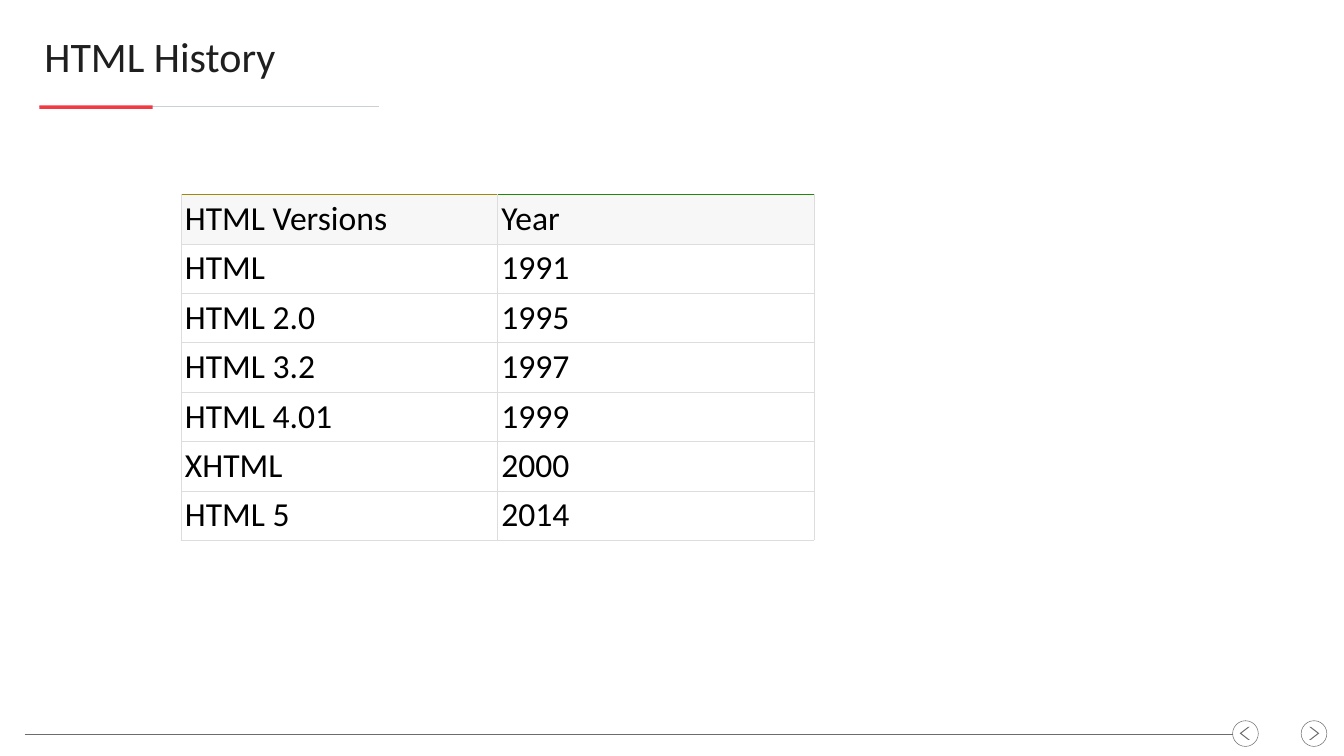
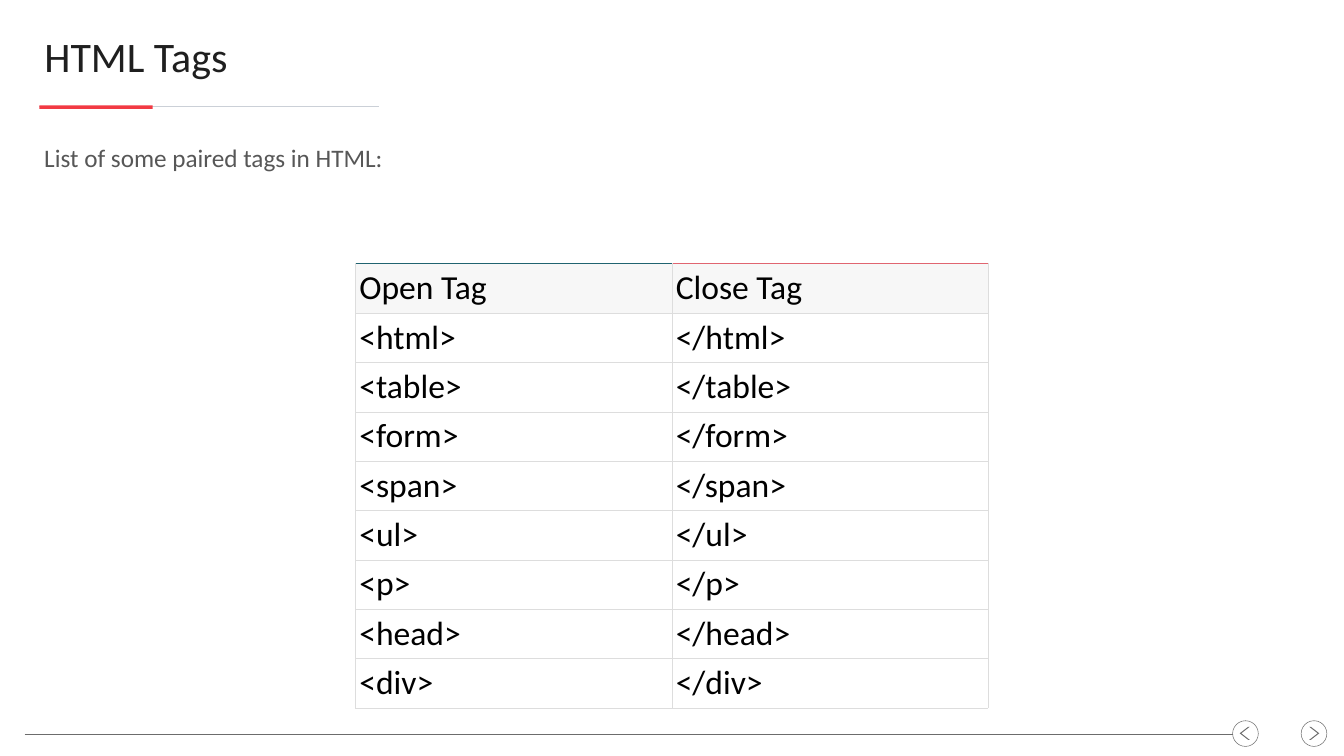
from lxml import etree
from pptx import Presentation
from pptx.dml.color import RGBColor
from pptx.enum.shapes import MSO_CONNECTOR, MSO_SHAPE
from pptx.enum.text import MSO_ANCHOR, PP_ALIGN
from pptx.oxml import parse_xml
from pptx.oxml.ns import nsdecls, qn
from pptx.util import Pt

STRAIGHT = MSO_CONNECTOR.STRAIGHT
RECTANGLE, OVAL, CHEVRON = MSO_SHAPE.RECTANGLE, MSO_SHAPE.OVAL, MSO_SHAPE.CHEVRON
TOP, MIDDLE, BOTTOM = MSO_ANCHOR.TOP, MSO_ANCHOR.MIDDLE, MSO_ANCHOR.BOTTOM
LEFT = PP_ALIGN.LEFT
TITLE_ONLY = 5

PX = 9144  # 100 px to the inch
FONT = "Calibri"
COLORS = {
    "title": "1F1F1F", "body": "575757", "cell": "000000",
    "accent": "F23A43", "rule": "CBD0D7", "footer": "6C6C6C",
    "border": "DDDDDD", "header": "F7F7F7", "white": "FFFFFF",
    "gold": "A0880A", "green": "20890A", "teal": "206370", "rose": "E06570",
}
COLUMN_WIDTH, ROW_HEIGHT, CELL_MARGIN = 628, 98, 8

SLIDES = [
    {
        "title": "HTML History",
        "intro": None,
        "table_at": (359, 386),
        "header_lines": ("gold", "green"),
        "row_fill": "white",
        "rows": [
            ("HTML Versions", "Year"),
            ("HTML", "1991"),
            ("HTML 2.0", "1995"),
            ("HTML 3.2", "1997"),
            ("HTML 4.01", "1999"),
            ("XHTML", "2000"),
            ("HTML 5", "2014"),
        ],
    },
    {
        "title": "HTML Tags",
        "intro": "List of some paired tags in HTML:",
        "table_at": (705, 523),
        "header_lines": ("teal", "rose"),
        "row_fill": None,
        "rows": [("Open Tag", "Close Tag")] + [
            (f"<{tag}>", f"</{tag}>")
            for tag in ("html", "table", "form", "span", "ul", "p", "head", "div")
        ],
    },
]


def write_text(frame, text, size, color, anchor=TOP, margins=(10, 5), line_spacing=None):
    frame.word_wrap = True
    frame.vertical_anchor = anchor
    frame.margin_left = frame.margin_right = margins[0] * PX
    frame.margin_top = frame.margin_bottom = margins[1] * PX
    paragraph = frame.paragraphs[0]
    paragraph.alignment = LEFT
    paragraph.line_spacing = line_spacing
    run = paragraph.add_run()
    run.text = text
    run.font.name = FONT
    run.font.size = Pt(size)
    run.font.color.rgb = RGBColor.from_string(COLORS[color])


def add_plain_shape(slide, kind, box, fill=None, line=None):
    shape = slide.shapes.add_shape(kind, *(length * PX for length in box))
    shape.shadow.inherit = False
    if fill:
        shape.fill.solid()
        shape.fill.fore_color.rgb = RGBColor.from_string(COLORS[fill])
    else:
        shape.fill.background()
    if line:
        shape.line.color.rgb = RGBColor.from_string(COLORS[line])
        shape.line.width = Pt(0.75)
    else:
        shape.line.fill.background()
    return shape


presentation = Presentation()
presentation.slide_width = 2667 * PX
presentation.slide_height = 1500 * PX

for content in SLIDES:
    slide = presentation.slides.add_slide(presentation.slide_layouts[TITLE_ONLY])

    # Title
    title = slide.shapes.title
    title.left, title.top, title.width, title.height = 78 * PX, 59 * PX, 2505 * PX, 104 * PX
    write_text(title.text_frame, content["title"], size=60, color="title", anchor=MIDDLE)

    # Title rule and footer line
    for left, right, y, color, weight in (
        (78, 752, 212, "rule", 1.5),
        (49, 2446, 1456, "footer", 0.75),
    ):
        line = slide.shapes.add_connector(STRAIGHT, left * PX, y * PX, right * PX, y * PX)
        line.line.color.rgb = RGBColor.from_string(COLORS[color])
        line.line.width = Pt(weight)
        etree.SubElement(line._element.spPr, qn("a:effectLst"))
    add_plain_shape(slide, RECTANGLE, (78, 209, 225, 7), fill="accent")

    # Back and forward buttons
    for circle_left, arrow_left, rotation in ((2446, 2460, 180), (2582, 2598, 0)):
        add_plain_shape(slide, OVAL, (circle_left, 1430, 51, 51), line="footer")
        arrow = add_plain_shape(slide, CHEVRON, (arrow_left, 1442, 20, 26), fill="footer")
        arrow.adjustments[0] = 0.84
        arrow.rotation = rotation

    # Table
    rows = content["rows"]
    left, top = content["table_at"]
    table = slide.shapes.add_table(
        len(rows), 2, left * PX, top * PX,
        2 * COLUMN_WIDTH * PX, len(rows) * ROW_HEIGHT * PX,
    ).table
    table.first_row = table.horz_banding = False
    for row_index, row in enumerate(rows):
        is_header = row_index == 0
        fill = "header" if is_header else content["row_fill"]
        for column_index, text in enumerate(row):
            cell = table.cell(row_index, column_index)
            write_text(cell.text_frame, text, size=48, color="cell")
            cell.vertical_anchor = BOTTOM if is_header else TOP
            cell.margin_left = cell.margin_right = CELL_MARGIN * PX
            cell.margin_top = cell.margin_bottom = CELL_MARGIN * PX
            if fill:
                cell.fill.solid()
                cell.fill.fore_color.rgb = RGBColor.from_string(COLORS[fill])
            else:
                cell.fill.background()
            # Borders come before the fill in the cell properties
            properties = cell._tc.get_or_add_tcPr()
            for position, side in enumerate("LRTB"):
                color = "border"
                if is_header and side == "T":
                    color = content["header_lines"][column_index]
                properties.insert(position, parse_xml(
                    f'<a:ln{side} {nsdecls("a")} w="{Pt(0.75)}"><a:solidFill>'
                    f'<a:srgbClr val="{COLORS[color]}"/></a:solidFill></a:ln{side}>'
                ))

    # Introductory line
    if content["intro"]:
        intro = slide.shapes.add_textbox(78 * PX, 263 * PX, 817 * PX, 60 * PX)
        write_text(intro.text_frame, content["intro"], size=36, color="body", line_spacing=1.25)

presentation.save("out.pptx")
